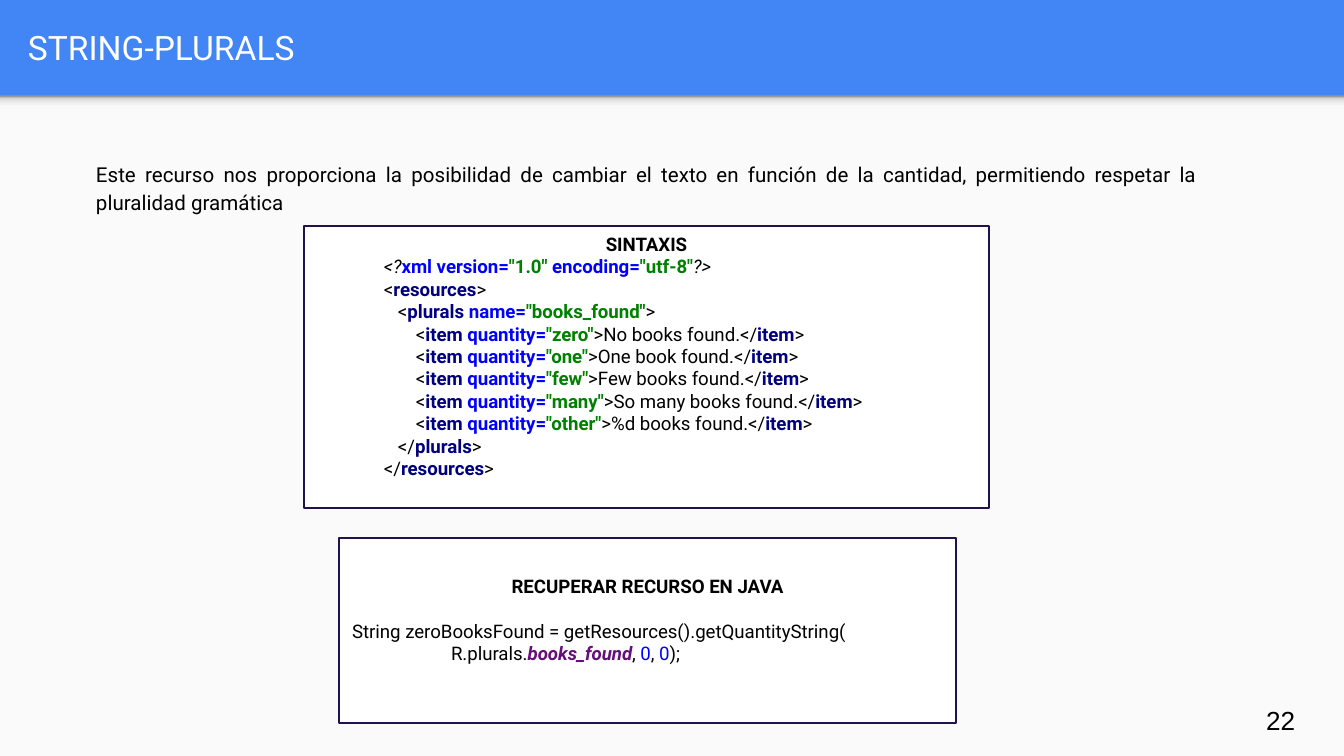
from copy import deepcopy

from pptx import Presentation
from pptx import util as u
from pptx.dml import color
from pptx.enum import shapes, text
from pptx.oxml import ns

PX = 914400 / 134.4
MARGIN = 13
LINE = 22
INDENT = 67
STYLES = {
    "plain": ("000000", {}),
    "head": ("000000", {"bold": True}),
    "decl": ("000000", {"italic": True}),
    "tag": ("000080", {"bold": True}),
    "attr": ("0000FF", {"bold": True}),
    "value": ("008000", {"bold": True}),
    "field": ("660E7A", {"bold": True, "italic": True}),
    "number": ("0000FF", {}),
    "title": ("FFFFFF", {}),
}
BOOKS = [
    ("zero", "No books found."),
    ("one", "One book found."),
    ("few", "Few books found."),
    ("many", "So many books found."),
    ("other", "%d books found."),
]


def px(n):
    return u.Emu(round(n * PX))


def rgb(value):
    return color.RGBColor.from_string(value)


def set_all(target, values):
    for name, value in values.items():
        setattr(target, name, value)


def set_frame(tf, anchor=text.MSO_ANCHOR.MIDDLE, bottom=MARGIN):
    set_all(tf, {
        "word_wrap": True,
        "auto_size": text.MSO_AUTO_SIZE.NONE,
        "vertical_anchor": anchor,
        "margin_left": px(MARGIN),
        "margin_right": px(MARGIN),
        "margin_top": px(MARGIN),
        "margin_bottom": px(bottom),
    })


def write(p, runs, size, font="Roboto", align=text.PP_ALIGN.LEFT, indent=0):
    p.alignment = align
    if indent:
        pPr = p._p.get_or_add_pPr()
        pPr.set("marL", "0")
        pPr.set("indent", str(px(indent)))
    for words, style in runs:
        r = p.add_run()
        r.text = words
        hue, look = STYLES[style]
        set_all(r.font, {"name": font, "size": u.Pt(size),
                         "bold": False, "italic": False, **look})
        r.font.color.rgb = rgb(hue)


def add_rect(s, box, fill, line=None):
    sp = s.shapes.add_shape(shapes.MSO_SHAPE.RECTANGLE, *map(px, box))
    sp.shadow.inherit = False
    sp.fill.solid()
    sp.fill.fore_color.rgb = rgb(fill)
    if line:
        sp.line.color.rgb = rgb(line)
        sp.line.width = u.Pt(0.75)
    else:
        sp.line.fill.background()
    return sp


def add_backdrop(s, box):
    left, top, width, height = box
    s.background.fill.solid()
    s.background.fill.fore_color.rgb = rgb("4285F4")
    add_rect(s, box, "FAFAFA")
    sp = add_rect(s, (left, top, width, 16), "F9F9F9")
    sp.fill.gradient()
    sp.fill.gradient_angle = 90
    stops = [(0, "F9F9F9"), (0.36, "F9F9F9"), (0.8, "DEDEDE"), (1, "999999")]
    gs_list = sp._element.spPr.find(".//" + ns.qn("a:gsLst"))
    for _ in stops[2:]:
        gs_list.append(deepcopy(gs_list[0]))
    for stop, (position, hue) in zip(sp.fill.gradient_stops, stops):
        stop.position = position
        stop.color.rgb = rgb(hue)


def add_title(s, box, words):
    sp = s.shapes.title
    set_all(sp, dict(zip(("left", "top", "width", "height"), map(px, box))))
    set_frame(sp.text_frame)
    write(sp.text_frame.paragraphs[0], [(words, "title")], 18)


def add_text(s, box, words, size, font, align, anchor, spacing):
    tf = s.shapes.add_textbox(*map(px, box)).text_frame
    set_frame(tf, anchor)
    p = tf.paragraphs[0]
    p.line_spacing = spacing
    write(p, [(words, "plain")], size, font, align)


def add_code(s, box, heading, lines, gap=0):
    tf = add_rect(s, box, "FFFFFF", "20124D").text_frame
    set_frame(tf, bottom=MARGIN + LINE)
    write(tf.paragraphs[0], [(heading, "head")], 10, align=text.PP_ALIGN.CENTER)
    tf.paragraphs[0].space_after = u.Pt(gap)
    for indent, runs in lines:
        write(tf.add_paragraph(), runs, 10, indent=indent)


def tag_line(indent, name, opening="<"):
    return indent, [(opening, "plain"), (name, "tag"), (">", "plain")]


def xml_lines():
    inner, deep = INDENT + 14, INDENT + 32
    items = [
        (deep, [("<", "plain"), ("item ", "tag"), ("quantity=", "attr"),
                (f'"{quantity}"', "value"), (f">{words}</", "plain"),
                ("item", "tag"), (">", "plain")])
        for quantity, words in BOOKS
    ]
    return [
        (INDENT, [("<?", "decl"), ("xml version=", "attr"), ('"1.0" ', "value"),
                  ("encoding=", "attr"), ('"utf-8"', "value"), ("?>", "decl")]),
        tag_line(INDENT, "resources"),
        (inner, [("<", "plain"), ("plurals ", "tag"), ("name=", "attr"),
                 ('"books_found"', "value"), (">", "plain")]),
        *items,
        tag_line(inner, "plurals", "</"),
        tag_line(INDENT, "resources", "</"),
    ]


def java_lines():
    return [
        (0, [("String zeroBooksFound = getResources().getQuantityString(", "plain")]),
        (INDENT + 32, [("R.plurals.", "plain"), ("books_found", "field"),
                       (", ", "plain"), ("0", "number"), (", ", "plain"),
                       ("0", "number"), (");", "plain")]),
    ]


def main():
    prs = Presentation()
    prs.slide_width, prs.slide_height = px(1344), px(756)
    s = prs.slides.add_slide(prs.slide_layouts[5])
    add_backdrop(s, (0, 96, 1344, 660))
    add_title(s, (15, 3, 1297, 89), "STRING-PLURALS")
    add_text(s, (1253, 691, 81, 58), "22", 14, "Arial",
             text.PP_ALIGN.LEFT, text.MSO_ANCHOR.MIDDLE, 1.0)
    add_code(s, (304, 226, 685, 282), "SINTAXIS", xml_lines())
    add_text(s, (83, 145, 1128, 99),
             "Este recurso nos proporciona la posibilidad de cambiar el texto en "
             "función de la cantidad, permitiendo respetar la pluralidad gramática",
             11, "Roboto", text.PP_ALIGN.JUSTIFY, text.MSO_ANCHOR.TOP, 1.15)
    add_code(s, (339, 538, 617, 185), "RECUPERAR RECURSO EN JAVA", java_lines(), 12)
    prs.save("out.pptx")


if __name__ == "__main__":
    main()
